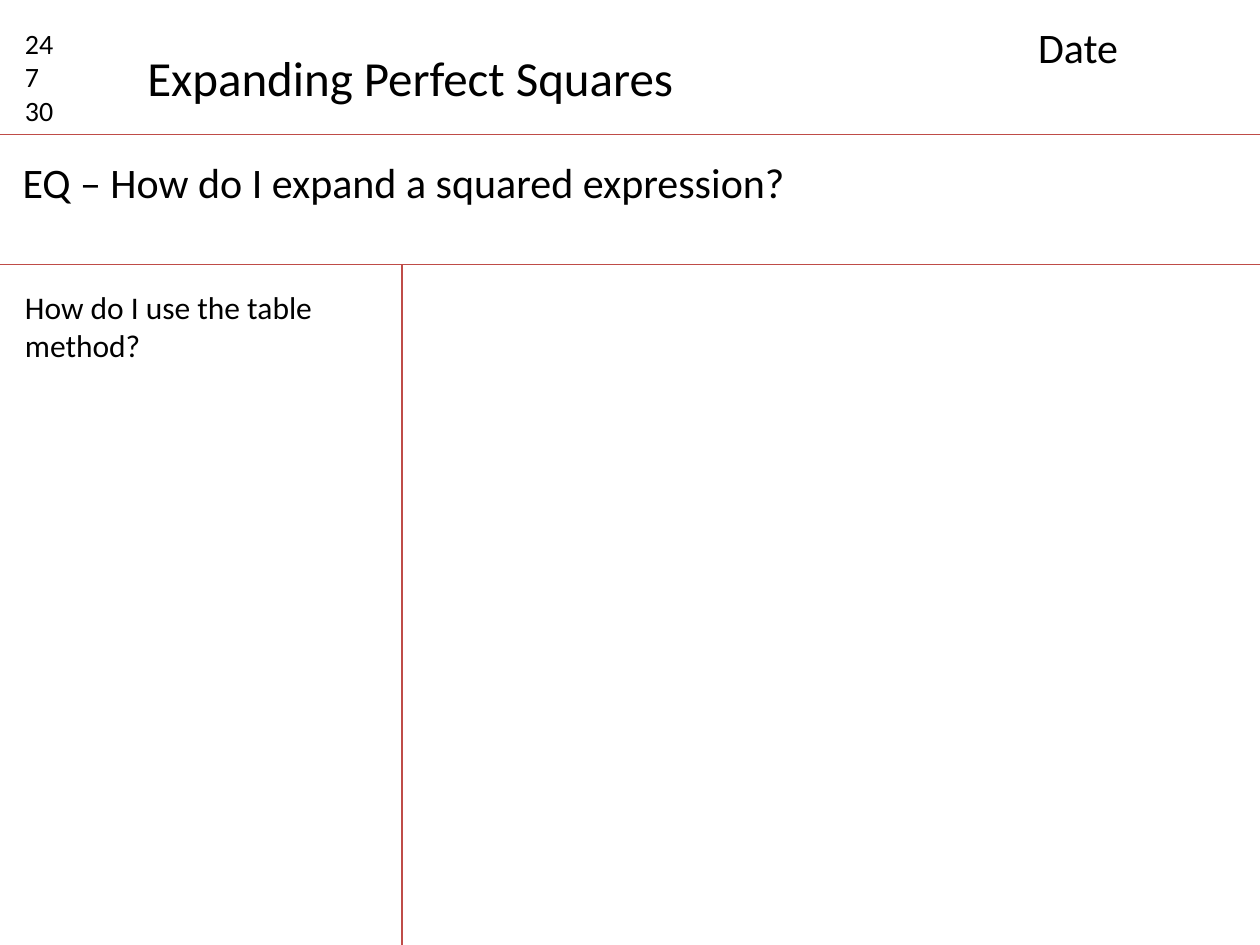
import pptx
import pptx.dml.color
import pptx.enum.shapes
import pptx.enum.text
import pptx.oxml.ns
import pptx.util
from lxml import etree

Pt = pptx.util.Pt
BLACK = pptx.dml.color.RGBColor(0x00, 0x00, 0x00)
RED = pptx.dml.color.RGBColor(0xBF, 0x4C, 0x48)

WIDTH, HEIGHT = 720, 540
HEADER_Y, QUESTION_Y = 77, 151.2
MARGIN_X = 229.7


def fill_text(s, box, text, size, wrap=True):
    """Place a text shape and set its left-aligned text."""
    s.left, s.top, s.width, s.height = [Pt(v) for v in box]
    tf = s.text_frame
    tf.text = text
    tf.word_wrap = wrap
    tf.auto_size = pptx.enum.text.MSO_AUTO_SIZE.SHAPE_TO_FIT_TEXT
    tf.vertical_anchor = pptx.enum.text.MSO_ANCHOR.TOP
    for p in tf.paragraphs:
        p.alignment = pptx.enum.text.PP_ALIGN.LEFT
        for r in p.runs:
            r.font.name = "Calibri"
            r.font.size = Pt(size)
            r.font.color.rgb = BLACK


prs = pptx.Presentation()
prs.slide_width, prs.slide_height = Pt(WIDTH), Pt(HEIGHT)
slide = prs.slides.add_slide(prs.slide_layouts[5])

# Title
fill_text(slide.shapes.title, (77, 23.8, 318.2, 41), "Expanding Perfect Squares", 28, wrap=False)

# Rules of the note page; the margin runs past the bottom edge
for x1, y1, x2, y2 in [
    (0, HEADER_Y, WIDTH, HEADER_Y),
    (0, QUESTION_Y, WIDTH, QUESTION_Y),
    (MARGIN_X, QUESTION_Y, MARGIN_X, HEIGHT + 13.7),
]:
    line = slide.shapes.add_connector(
        pptx.enum.shapes.MSO_CONNECTOR.STRAIGHT, Pt(x1), Pt(y1), Pt(x2), Pt(y2))
    line.line.color.rgb = RED
    line.line.width = Pt(0.75)
    etree.SubElement(line._element.spPr, pptx.oxml.ns.qn("a:effectLst"))

# Notes text
for box, text, size in [
    ((7.2, 11.5, 45.4, 65.5), "24\n7\n30", 16),
    ((586.1, 8.6, 124.6, 36), "Date", 24),
    ((5.8, 85.7, 640.8, 36), "EQ – How do I expand a squared expression?", 24),
    ((7.2, 161.3, 211, 51), "How do I use the table method?", 18),
]:
    fill_text(slide.shapes.add_textbox(0, 0, 0, 0), box, text, size)

prs.save("out.pptx")
